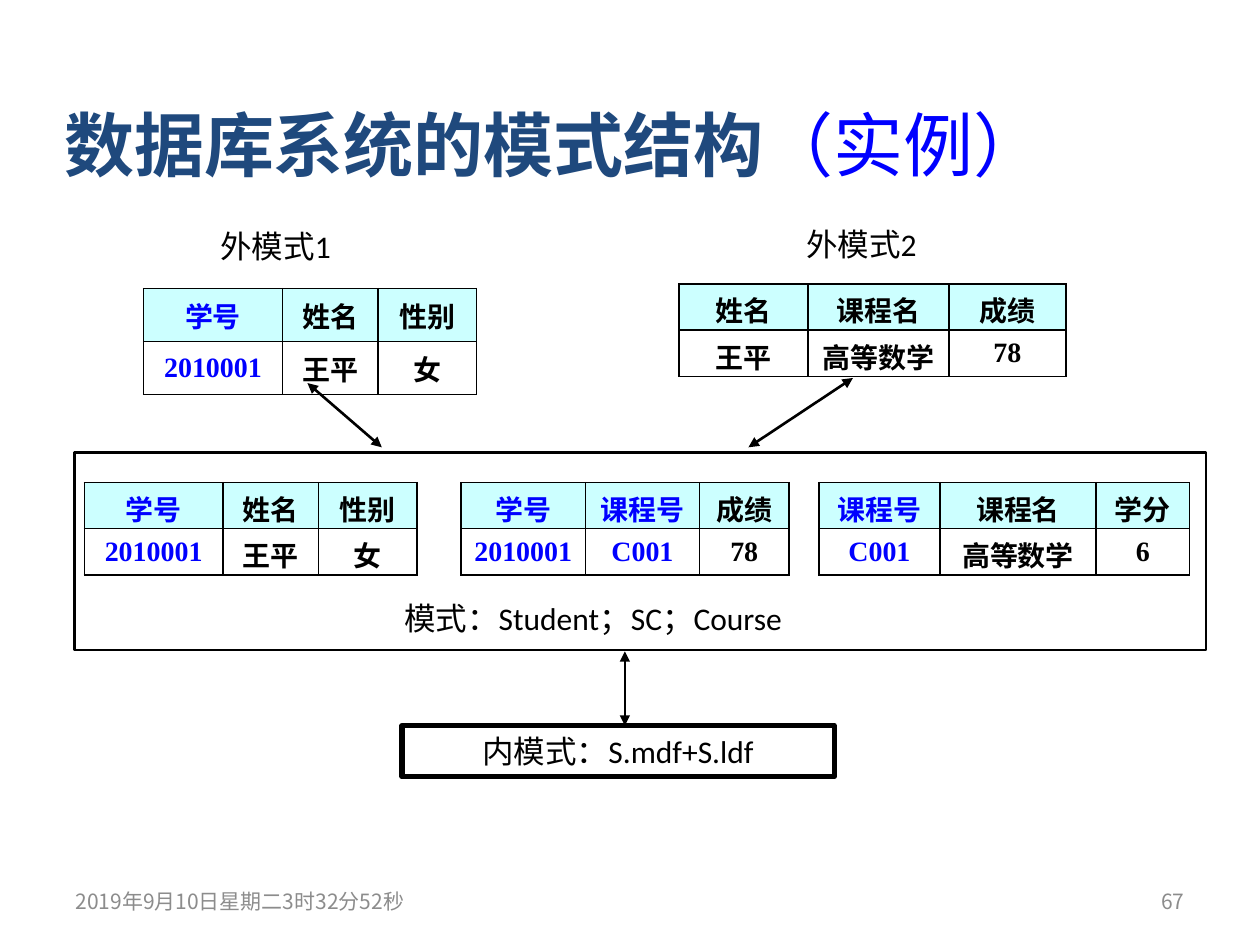
from dataclasses import dataclass

import pptx
import pptx.util
import pptx.dml.color
import pptx.enum.shapes
import pptx.enum.text
import pptx.oxml
import pptx.oxml.ns
from pptx.util import Pt

COLORS = {"black": "000000", "white": "FFFFFF", "blue": "0000FF",
          "navy": "1F497D", "cyan": "CCFFFF", "gray": "8C8C8C"}
ALIGN = pptx.enum.text.PP_ALIGN
ANCHOR = pptx.enum.text.MSO_ANCHOR
SERIF, SANS, HAN = "Times New Roman", "Calibri", "Noto Sans CJK SC"
NS = pptx.oxml.ns.nsdecls("a")


@dataclass
class Grid:
    """A two-row sample table with its leading key columns in blue."""
    left: float
    top: float
    cols: list[float]
    rows: list[list[str]]
    keys: int = 0
    height: float = 26.3


@dataclass
class Label:
    """A block of text in one font."""
    text: str
    box: tuple[float, float, float, float]
    size: float = 18
    font: str = SANS
    color: str = "black"
    align: ALIGN = ALIGN.LEFT
    anchor: ANCHOR = ANCHOR.MIDDLE
    fill: str = ""
    line: float = 0


@dataclass
class Arrow:
    """A line with a head at both ends."""
    start: tuple[float, float]
    end: tuple[float, float]


GRIDS = [
    Grid(82.1, 164.9, [79.2, 54.7, 56.2],
         [["学号", "姓名", "性别"], ["2010001", "王平", "女"]], 1, 30.3),
    Grid(48.2, 275.8, [79.2, 54.7, 56.2],
         [["学号", "姓名", "性别"], ["2010001", "王平", "女"]], 1),
    Grid(468, 275.8, [69.1, 89.3, 53.3],
         [["课程号", "课程名", "学分"], ["C001", "高等数学", "6"]], 1),
    Grid(263.5, 275.8, [71, 65.3, 51],
         [["学号", "课程号", "成绩"], ["2010001", "C001", "78"]], 2),
    Grid(388.1, 162.4, [73.7, 80.4, 67],
         [["姓名", "课程名", "成绩"], ["王平", "高等数学", "78"]]),
]
LABELS = [
    Label("", (42.5, 258.5, 646.6, 113), fill="white", line=1.5),
    Label("模式：Student；SC；Course", (223.9, 337.7, 303.1, 31), fill="white"),
    Label("内模式：S.mdf+S.ldf", (229.7, 414.7, 247, 29.1), align=ALIGN.CENTER,
          anchor=ANCHOR.TOP, line=3),
    Label("外模式1", (118.8, 119.5, 105.1, 42.5), fill="white"),
    Label("外模式2", (453.6, 119.5, 105.1, 39.6), fill="white"),
    Label("2019年9月10日星期二3时32分52秒", (36, 500.4, 221.8, 28.8), 12, HAN, "gray"),
    Label("67", (516.2, 500.4, 167.8, 28.8), 12, HAN, "gray", ALIGN.RIGHT),
]
ARROWS = [Arrow((175.7, 218.9), (218.2, 255.6)),
          Arrow((487.4, 216), (427.7, 255.6)),
          Arrow((357.1, 372.2), (357.1, 414.7))]
TITLE = [("数据库系统的模式结构", SERIF, "navy", True), ("（", HAN, "blue", False),
         ("实例", SANS, "blue", False), ("）", HAN, "blue", False)]


def rgb(name: str) -> pptx.dml.color.RGBColor:
    return pptx.dml.color.RGBColor.from_string(COLORS[name])


def style(font, face: str, size: float, color: str, bold: bool = False) -> None:
    font.name, font.size, font.bold = face, Pt(size), bold
    font.color.rgb = rgb(color)


def add_label(slide, label: Label) -> None:
    box = [Pt(v) for v in label.box]
    if label.fill or label.line:
        shape = slide.shapes.add_shape(pptx.enum.shapes.MSO_SHAPE.RECTANGLE, *box)
        shape.shadow.inherit = False
        shape.fill.background()
        shape.line.fill.background()
    else:
        shape = slide.shapes.add_textbox(*box)
    if label.fill:
        shape.fill.solid()
        shape.fill.fore_color.rgb = rgb(label.fill)
    if label.line:
        shape.line.color.rgb = rgb("black")
        shape.line.width = Pt(label.line)
    if label.text:
        frame = shape.text_frame
        frame.word_wrap, frame.vertical_anchor = True, label.anchor
        para = frame.paragraphs[0]
        para.text, para.alignment = label.text, label.align
        style(para.font, label.font, label.size, label.color)


def add_grid(slide, grid: Grid) -> None:
    table = slide.shapes.add_table(
        len(grid.rows), len(grid.cols), Pt(grid.left), Pt(grid.top),
        Pt(sum(grid.cols)), Pt(grid.height * len(grid.rows))).table
    table.first_row = table.horz_banding = False
    for col, width in zip(table.columns, grid.cols):
        col.width = Pt(width)
    for r, texts in enumerate(grid.rows):
        table.rows[r].height = Pt(grid.height)
        for c, text in enumerate(texts):
            cell = table.cell(r, c)
            cell.vertical_anchor = ANCHOR.MIDDLE
            if grid.height < 30 and not text.isascii():
                cell.margin_top, cell.margin_bottom = Pt(3), Pt(0)
            props = cell._tc.get_or_add_tcPr()
            for side in "LRTB":
                props.append(pptx.oxml.parse_xml(
                    f'<a:ln{side} {NS} w="{Pt(1)}"><a:solidFill><a:srgbClr '
                    f'val="{COLORS["black"]}"/></a:solidFill></a:ln{side}>'))
            if r == 0:
                cell.fill.solid()
                cell.fill.fore_color.rgb = rgb("cyan")
            else:
                cell.fill.background()
            para = cell.text_frame.paragraphs[0]
            para.text, para.alignment = text, ALIGN.CENTER
            style(para.font, SERIF, 16, "blue" if c < grid.keys else "black", True)


def add_arrow(slide, arrow: Arrow) -> None:
    line = slide.shapes.add_connector(
        pptx.enum.shapes.MSO_CONNECTOR.STRAIGHT,
        *[Pt(v) for v in arrow.start + arrow.end])
    line.line.color.rgb = rgb("black")
    line.line.width = Pt(1.5)
    for end in ("head", "tail"):
        line.line._get_or_add_ln().append(
            pptx.oxml.parse_xml(f'<a:{end}End {NS} type="triangle"/>'))
    line._element.spPr.append(pptx.oxml.parse_xml(f"<a:effectLst {NS}/>"))


def add_title(slide) -> None:
    frame = slide.shapes.add_textbox(Pt(36.7), Pt(37.4), Pt(648), Pt(68.4)).text_frame
    frame.word_wrap, frame.vertical_anchor = True, ANCHOR.BOTTOM
    frame.margin_left = frame.margin_right = frame.margin_bottom = 0
    for text, face, color, bold in TITLE:
        run = frame.paragraphs[0].add_run()
        run.text = text
        style(run.font, face, 40, color, bold)


def main() -> None:
    """Build the slide on the three-schema structure of a database."""
    deck = pptx.Presentation()
    deck.slide_width, deck.slide_height = Pt(720), Pt(540)
    slide = deck.slides.add_slide(deck.slide_layouts[6])
    add_title(slide)
    for label in LABELS:
        add_label(slide, label)
    for grid in GRIDS:
        add_grid(slide, grid)
    for arrow in ARROWS:
        add_arrow(slide, arrow)
    deck.save("out.pptx")


if __name__ == "__main__":
    main()
